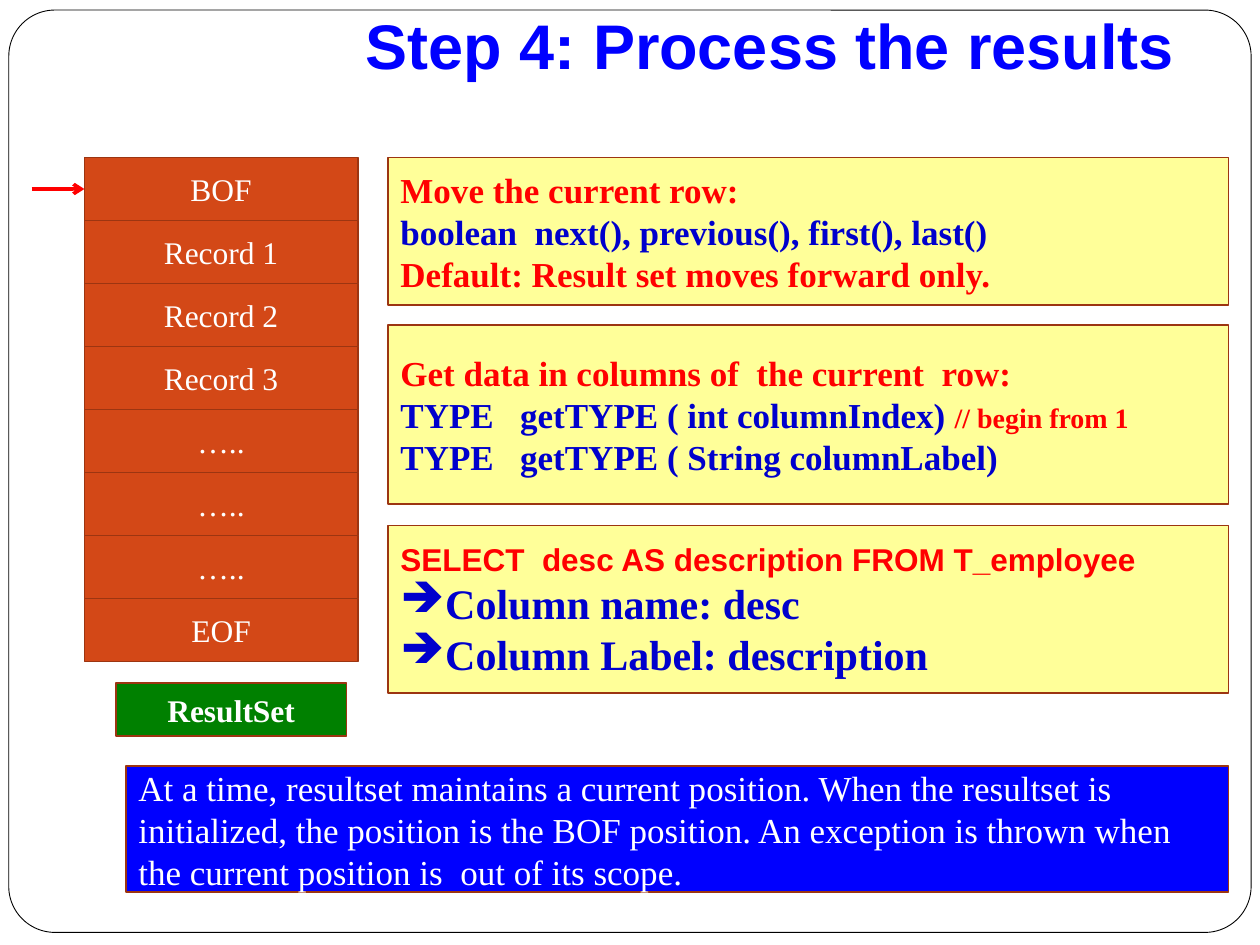
"""Build the slide on processing the rows of a ResultSet."""
from lxml.etree import SubElement
from pptx import Presentation
from pptx.dml.color import RGBColor
from pptx.enum.shapes import MSO_CONNECTOR, MSO_SHAPE
from pptx.enum.text import MSO_ANCHOR, PP_ALIGN
from pptx.oxml.ns import qn
from pptx.util import Inches, Pt

BLACK = RGBColor(0x00, 0x00, 0x00)
WHITE = RGBColor(0xFF, 0xFF, 0xFF)
BLUE = RGBColor(0x00, 0x00, 0xFF)
NAVY = RGBColor(0x00, 0x00, 0xCC)
RED = RGBColor(0xFF, 0x00, 0x00)
GREEN = RGBColor(0x00, 0x80, 0x00)
ORANGE = RGBColor(0xD3, 0x48, 0x17)
BROWN = RGBColor(0x9C, 0x35, 0x11)
YELLOW = RGBColor(0xFF, 0xFF, 0x99)
SERIF = "Times New Roman"


def style(font, size, color, bold=False, name=SERIF):
    font.size, font.bold, font.name = Pt(size), bold, name
    font.color.rgb = color


def add_box(left, top, width, height, fill, line=BROWN, weight=1, kind=MSO_SHAPE.RECTANGLE):
    box = page.shapes.add_shape(kind, Inches(left), Inches(top), Inches(width), Inches(height))
    box.shadow.inherit = False
    box.fill.solid()
    box.fill.fore_color.rgb = fill
    box.line.color.rgb = line
    box.line.width = Pt(weight)
    box.text_frame.word_wrap = True
    box.text_frame.vertical_anchor = MSO_ANCHOR.MIDDLE
    return box


deck = Presentation()
deck.slide_width, deck.slide_height = Inches(10), Inches(7.5)
page = deck.slides.add_slide(deck.slide_layouts[6])

frame = add_box(0.07, 0.08, 9.86, 7.32, WHITE, BLACK, 0.5, MSO_SHAPE.ROUNDED_RECTANGLE)
frame.adjustments[0] = 0.05

title = page.shapes.add_textbox(Inches(1), Inches(0), Inches(8.42), Inches(0.75))
title.text_frame.word_wrap = True
title.text_frame.vertical_anchor = MSO_ANCHOR.BOTTOM
title.text_frame.margin_bottom = Inches(0.1)
para = title.text_frame.paragraphs[0]
para.text = "Step 4: Process the results"
para.alignment = PP_ALIGN.RIGHT
style(para.font, 36, BLUE, True, "Arial")

labels = [(0.92, 5.42, 1.83, 0.42, GREEN, "ResultSet", True)]
rows = ["BOF", "Record 1", "Record 2", "Record 3", "…..", "…..", "…..", "EOF"]
for index, row in enumerate(rows):
    labels.append((0.67, 1.25 + 0.5 * index, 2.17, 0.5, ORANGE, row, False))
for left, top, width, height, fill, text, bold in labels:
    para = add_box(left, top, width, height, fill).text_frame.paragraphs[0]
    para.text = text
    para.alignment = PP_ALIGN.CENTER
    style(para.font, 18, WHITE, bold)

pointer = page.shapes.add_connector(
    MSO_CONNECTOR.STRAIGHT, Inches(0.25), Inches(1.5), Inches(0.67), Inches(1.5))
pointer.line.color.rgb = RED
pointer.line.width = Pt(2)
SubElement(pointer.line._get_or_add_ln(), qn("a:tailEnd"), type="arrow")
SubElement(pointer._element.spPr, qn("a:effectLst"))

panels = [
    (1.25, 1.17, [
        ("Move the current row:", 20, RED, SERIF),
        ("boolean  next(), previous(), first(), last()", 20, NAVY, SERIF),
        ("Default: Result set moves forward only.", 20, RED, SERIF)]),
    (2.58, 1.42, [
        ("Get data in columns of  the current  row:", 20, RED, SERIF),
        ("TYPE   getTYPE ( int columnIndex) ", 20, NAVY, SERIF),
        ("TYPE   getTYPE ( String columnLabel)", 20, NAVY, SERIF)]),
    (4.17, 1.33, [
        ("SELECT  desc AS description FROM T_employee", 18, RED, "Arial"),
        ("Column name: desc", 24, NAVY, SERIF),
        ("Column Label: description", 24, NAVY, SERIF)]),
]
for top, height, lines in panels:
    panel = add_box(3.08, top, 6.67, height, YELLOW).text_frame
    for index, (text, size, color, name) in enumerate(lines):
        para = panel.paragraphs[0] if index == 0 else panel.add_paragraph()
        para.alignment = PP_ALIGN.LEFT
        span = para.add_run()
        span.text = text
        if text.startswith("Column"):
            properties = para._p.get_or_add_pPr()
            properties.set("marL", str(Inches(0.28)))
            properties.set("indent", str(-Inches(0.28)))
            SubElement(properties, qn("a:buChar"), char="➔")
        if "columnIndex" in text:
            style(span.font, size, color, True, name)
            remark = para.add_run()
            remark.text = "// begin from 1"
            style(remark.font, 16, RED, True)
        else:
            style(para.font, size, color, True, name)

para = add_box(1, 6.08, 8.75, 1, BLUE).text_frame.paragraphs[0]
para.text = (
    "At a time, resultset maintains a current position. When the resultset is "
    "initialized, the position is the BOF position. An exception is thrown when "
    "the current position is  out of its scope.")
para.alignment = PP_ALIGN.LEFT
style(para.font, 20, WHITE)

deck.save("out.pptx")
